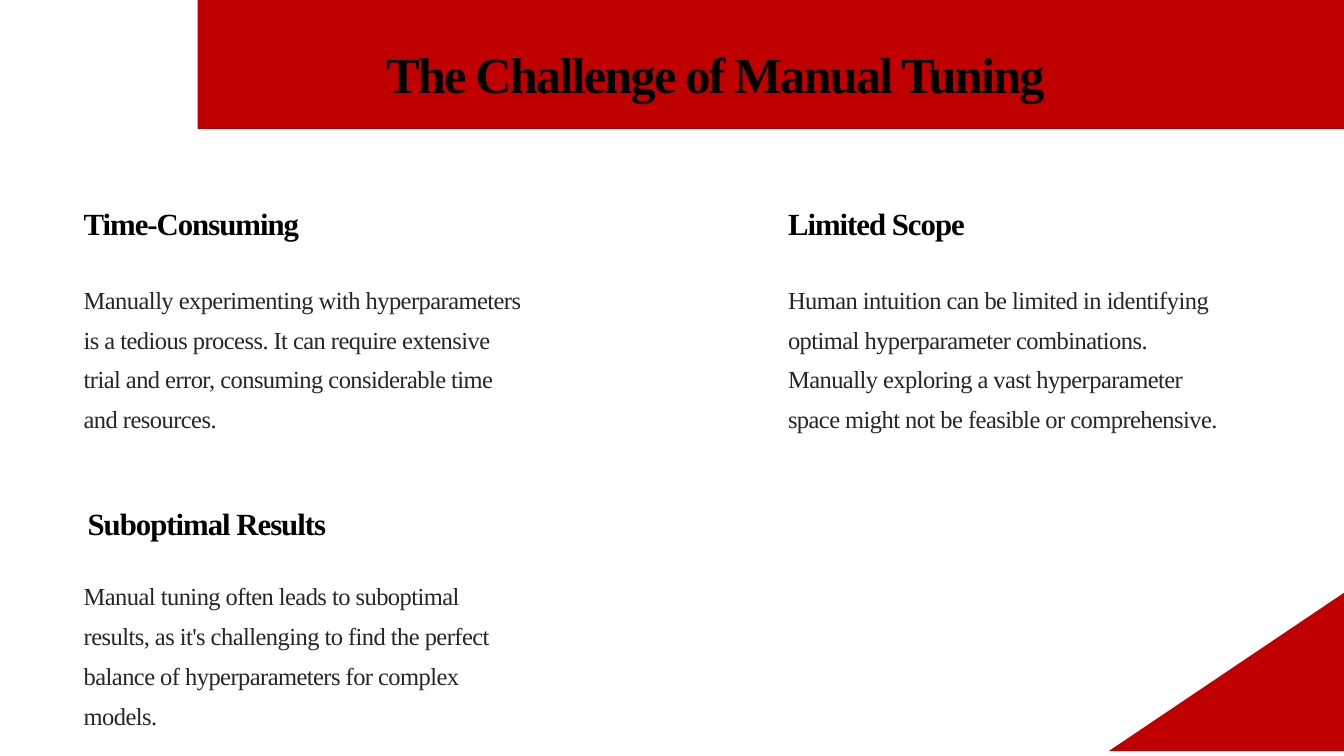
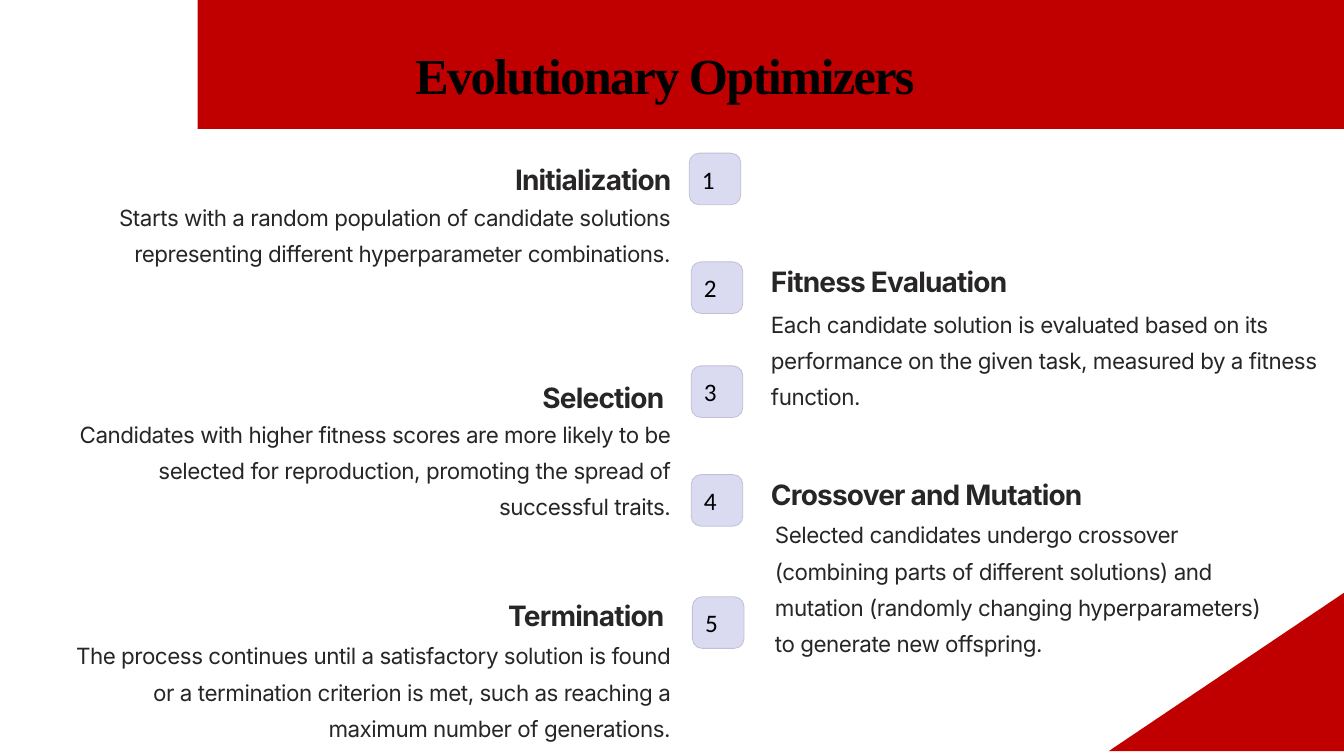
from dataclasses import dataclass, replace
from typing import Optional

from pptx import Presentation
from pptx.dml.color import RGBColor
from pptx.enum.shapes import MSO_SHAPE as Preset
from pptx.enum.text import MSO_ANCHOR as Anchor
from pptx.enum.text import MSO_AUTO_SIZE as AutoSize
from pptx.enum.text import PP_ALIGN as Align
from pptx.shapes.autoshape import Shape
from pptx.slide import Slide
from pptx.text.text import TextFrame
from pptx.util import Cm, Pt


@dataclass(frozen=True)
class TextStyle:
    """Sizes, line pitch and letter spacing are in points."""
    font: str
    size: float
    color: RGBColor
    bold: bool = False
    pitch: Optional[float] = None
    spacing: float = 0


@dataclass(frozen=True)
class Area:
    """A rectangle in centimetres."""
    left: float
    top: float
    width: float
    height: float

    def lengths(self) -> tuple[Cm, Cm, Cm, Cm]:
        return Cm(self.left), Cm(self.top), Cm(self.width), Cm(self.height)


@dataclass(frozen=True)
class Section:
    heading: str
    heading_area: Area
    body: str
    body_area: Area
    align: Align = Align.LEFT


@dataclass(frozen=True)
class Step:
    tile_left: float
    tile_top: float
    section: Section


BLACK = RGBColor(0x00, 0x00, 0x00)
INK = RGBColor(0x27, 0x25, 0x25)
SERIF, SANS = "Times New Roman", "Inter"


@dataclass(frozen=True)
class Theme:
    accent: RGBColor = RGBColor(0xC0, 0x00, 0x00)
    tile_fill: RGBColor = RGBColor(0xDA, 0xDB, 0xF1)
    tile_line: RGBColor = RGBColor(0xC0, 0xC1, 0xD7)
    title: TextStyle = TextStyle(SERIF, 36, BLACK, True, 55.5, -1.3)
    topic_heading: TextStyle = TextStyle(SERIF, 22, BLACK, True, 27.5, -0.7)
    topic_body: TextStyle = TextStyle(SERIF, 17.5, INK, False, 28.5, -0.4)
    step_heading: TextStyle = TextStyle(SANS, 20, INK, True, 25.5, -0.6)
    step_body: TextStyle = TextStyle(SANS, 16, INK, False, 26, -0.3)
    number: TextStyle = TextStyle("Calibri", 18, BLACK)


THEME = Theme()
SLIDE_WIDTH, SLIDE_HEIGHT = 33.87, 19.05
BAND = Area(4.98, 0, SLIDE_WIDTH - 4.98, 3.25)
CORNER = Area(27.94, 14.94, SLIDE_WIDTH - 27.94, 3.99)
TILE_SIZE = 1.3
RIGHT_COLUMN = 19.43

TOPICS = [
    Section(
        "Time-Consuming", Area(2.11, 5.11, 7.87, 0.99),
        "Manually experimenting with hyperparameters is a tedious process. "
        "It can require extensive trial and error, consuming considerable "
        "time and resources.",
        Area(2.11, 6.91, 11.05, 5.03)),
    Section(
        "Limited Scope", Area(19.86, 5.11, 7.87, 0.99),
        "Human intuition can be limited in identifying optimal hyperparameter "
        "combinations. Manually exploring a vast hyperparameter space might "
        "not be feasible or comprehensive.",
        Area(19.86, 6.91, 11.05, 5.03)),
    Section(
        "Suboptimal Results", Area(2.21, 12.67, 7.87, 0.99),
        "Manual tuning often leads to suboptimal results, as it's challenging "
        "to find the perfect balance of hyperparameters for complex models.",
        Area(2.11, 14.38, 11.05, 4.04)),
]

STEPS = [
    Step(17.37, 3.86, Section(
        "Initialization", Area(9.68, 4.04, 7.24, 0.91),
        "Starts with a random population of candidate solutions representing "
        "different hyperparameter combinations.",
        Area(1.8, 4.9, 15.11, 1.85), Align.RIGHT)),
    Step(17.42, 6.6, Section(
        "Fitness Evaluation", Area(RIGHT_COLUMN, 6.6, 7.24, 0.91),
        "Each candidate solution is evaluated based on its performance on the "
        "given task, measured by a fitness function.",
        Area(RIGHT_COLUMN, 7.59, 14.4, 2.77))),
    Step(17.42, 9.22, Section(
        "Selection", Area(9.5, 9.53, 7.24, 0.91),
        "Candidates with higher fitness scores are more likely to be selected "
        "for reproduction, promoting the spread of successful traits.",
        Area(1.8, 10.36, 15.11, 2.77), Align.RIGHT)),
    Step(17.42, 11.96, Section(
        "Crossover and Mutation", Area(RIGHT_COLUMN, 11.99, 8.4, 0.91),
        "Selected candidates undergo crossover (combining parts of different "
        "solutions) and mutation (randomly changing hyperparameters) to "
        "generate new offspring.",
        Area(19.53, 12.9, 12.83, 2.72))),
    Step(17.45, 15.04, Section(
        "Termination", Area(9.5, 15.04, 7.24, 0.91),
        "The process continues until a satisfactory solution is found or a "
        "termination criterion is met, such as reaching a maximum number of "
        "generations.",
        Area(1.8, 15.95, 15.11, 2.77), Align.RIGHT)),
]


def write(frame: TextFrame, text: str, style: TextStyle,
          align: Align = Align.LEFT) -> None:
    frame.word_wrap = True
    para = frame.paragraphs[0]
    para.alignment = align
    if style.pitch:
        para.line_spacing = Pt(style.pitch)
    para.font.name = style.font
    para.font.size = Pt(style.size)
    para.font.bold = style.bold
    para.font.color.rgb = style.color
    span = para.add_run()
    span.text = text
    if style.spacing:
        span._r.get_or_add_rPr().set("spc", str(round(style.spacing * 100)))


def clear_margins(frame: TextFrame) -> None:
    frame.margin_left = frame.margin_top = 0
    frame.margin_right = frame.margin_bottom = 0


def add_text(page: Slide, area: Area, text: str, style: TextStyle,
             align: Align) -> None:
    frame = page.shapes.add_textbox(*area.lengths()).text_frame
    clear_margins(frame)
    write(frame, text, style, align)


def add_filled(page: Slide, preset: Preset, area: Area,
               color: RGBColor) -> Shape:
    shape = page.shapes.add_shape(preset, *area.lengths())
    shape.shadow.inherit = False
    shape.fill.solid()
    shape.fill.fore_color.rgb = color
    shape.line.fill.background()
    return shape


def add_page(deck: Presentation, title: str, title_area: Area,
             style: TextStyle) -> Slide:
    """Start a slide with the red band, the red corner and its title."""
    page = deck.slides.add_slide(deck.slide_layouts.get_by_name("Title Only"))
    add_filled(page, Preset.RECTANGLE, BAND, THEME.accent)
    corner = add_filled(page, Preset.RIGHT_TRIANGLE, CORNER, THEME.accent)
    corner.element.spPr.xfrm.set("flipH", "1")

    heading = page.shapes.title
    heading.left, heading.top, heading.width, heading.height = title_area.lengths()
    frame = heading.text_frame
    frame.auto_size = AutoSize.NONE
    frame.vertical_anchor = Anchor.TOP
    clear_margins(frame)
    write(frame, title, style)
    # The title goes in front of the band.
    heading.element.getparent().append(heading.element)
    return page


def add_section(page: Slide, section: Section, heading_style: TextStyle,
                body_style: TextStyle) -> None:
    add_text(page, section.heading_area, section.heading, heading_style,
             section.align)
    add_text(page, section.body_area, section.body, body_style, section.align)


def add_tile(page: Slide, number: int, step: Step) -> None:
    area = Area(step.tile_left, step.tile_top, TILE_SIZE, TILE_SIZE)
    tile = add_filled(page, Preset.ROUNDED_RECTANGLE, area, THEME.tile_fill)
    tile.adjustments[0] = 0.19
    tile.line.color.rgb = THEME.tile_line
    tile.line.width = Pt(0.6)
    tile.text_frame.vertical_anchor = Anchor.MIDDLE
    write(tile.text_frame, str(number), THEME.number)


def main() -> None:
    deck = Presentation()
    deck.slide_width, deck.slide_height = Cm(SLIDE_WIDTH), Cm(SLIDE_HEIGHT)

    challenge = add_page(deck, "The Challenge of Manual Tuning",
                         Area(9.73, 0.64, 19.41, 1.98), THEME.title)
    for topic in TOPICS:
        add_section(challenge, topic, THEME.topic_heading, THEME.topic_body)

    optimizers = add_page(deck, "Evolutionary Optimizers",
                          Area(10.46, 0.84, 16, 1.8),
                          replace(THEME.title, pitch=51, spacing=-1.2))
    for number, step in enumerate(STEPS, start=1):
        add_tile(optimizers, number, step)
        add_section(optimizers, step.section, THEME.step_heading,
                    THEME.step_body)

    deck.save("out.pptx")


if __name__ == "__main__":
    main()
